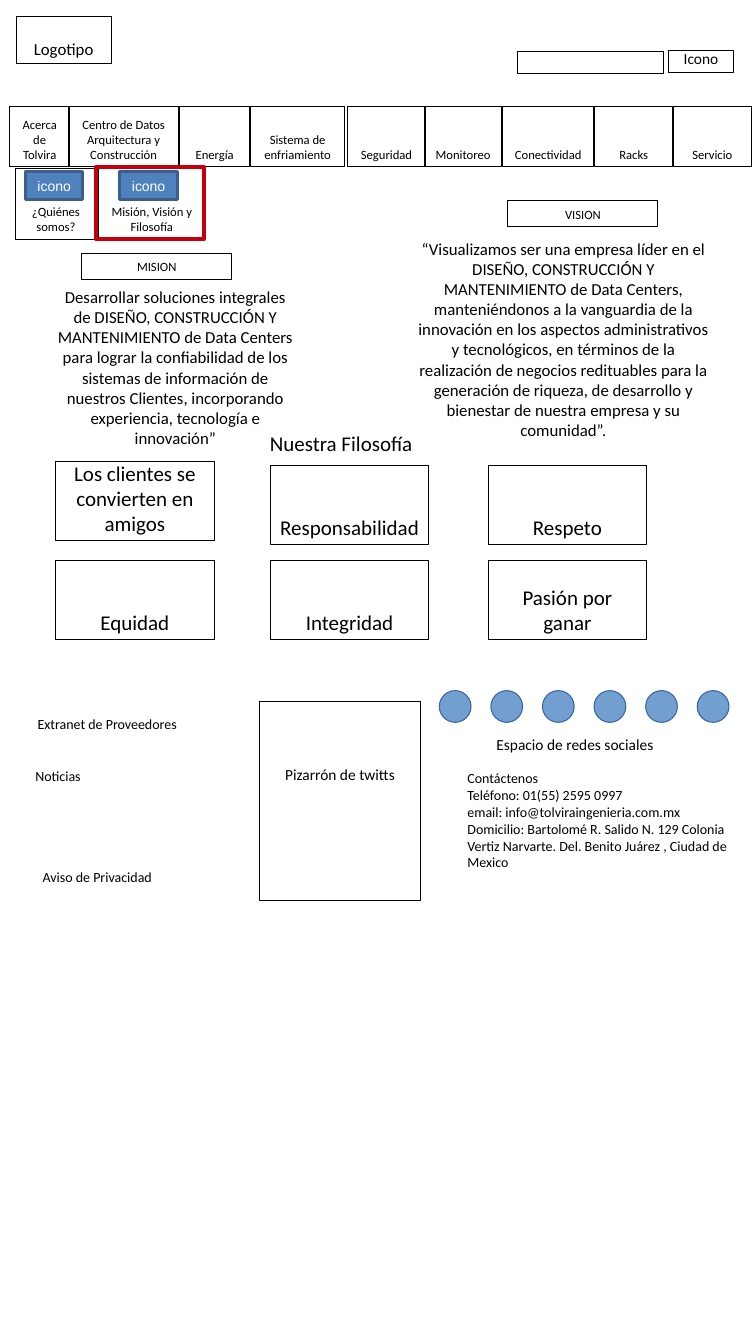
from itertools import cycle

from lxml import etree
from pptx import Presentation
from pptx import util as u
from pptx.dml.color import RGBColor
from pptx.enum import shapes, text

CENTER, LEFT = text.PP_ALIGN.CENTER, text.PP_ALIGN.LEFT
BOTTOM, MIDDLE = text.MSO_ANCHOR.BOTTOM, text.MSO_ANCHOR.MIDDLE
RECT, OVAL = shapes.MSO_SHAPE.RECTANGLE, shapes.MSO_SHAPE.OVAL


def color(hex_code):
    return RGBColor.from_string(hex_code)


def write(frame, words, size=9, font="Calibri", ink="000000", align=CENTER,
          anchor=BOTTOM, inset=0.2, base=0.12):
    frame.word_wrap = True
    frame.auto_size = text.MSO_AUTO_SIZE.NONE
    frame.vertical_anchor = anchor
    frame.margin_left = frame.margin_right = u.Cm(inset)
    frame.margin_top, frame.margin_bottom = u.Cm(0.12), u.Cm(base)
    paragraph = frame.paragraphs[0]
    paragraph.text = words
    paragraph.alignment = align
    for run in paragraph.runs:
        run.font.size = u.Pt(size)
        run.font.name = font
        run.font.bold = False
        run.font.color.rgb = color(ink)


class Wireframe:
    def __init__(self, width, height):
        self.deck = Presentation()
        self.deck.slide_width, self.deck.slide_height = u.Cm(width), u.Cm(height)
        self.slide = self.deck.slides.add_slide(self.deck.slide_layouts[5])

    def title(self, words, area, **style):
        heading = self.slide.shapes.title
        heading.left, heading.top, heading.width, heading.height = map(u.Cm, area)
        write(heading.text_frame, words, inset=0.25, **style)

    def label(self, words, area, **style):
        caption = self.slide.shapes.add_textbox(*map(u.Cm, area))
        write(caption.text_frame, words, inset=0.25, **style)

    def box(self, area, words="", kind=RECT, fill=None, line="000000",
            weight=0.75, **style):
        block = self.slide.shapes.add_shape(kind, *map(u.Cm, area))
        block.shadow.inherit = False
        if fill:
            block.fill.solid()
            block.fill.fore_color.rgb = color(fill)
        else:
            block.fill.background()
        block.line.color.rgb = color(line)
        block.line.width = u.Pt(weight)
        if words:
            write(block.text_frame, words, **style)


page = Wireframe(19.05, 33.88)
page.title("Nuestra Filosofía", (6.55, 10.82, 5, 0.79), size=15, align=LEFT)

page.box((0.41, 0.41, 2.39, 1.19), "Logotipo", size=12)
page.box((13.03, 1.3, 3.7, 0.56))
page.box((16.84, 1.27, 1.65, 0.56), "Icono", size=11)

menu = [
    ("Acerca de Tolvira", 0.25, 1.5),
    ("Centro de Datos Arquitectura y Construcción", 1.73, 2.77),
    ("Energía", 4.52, 1.78),
    ("Sistema de enfriamiento", 6.32, 2.36),
    ("Seguridad", 8.76, 1.96),
    ("Monitoreo", 10.69, 1.96),
    ("Conectividad", 12.67, 2.29),
    ("Racks", 14.99, 1.96),
    ("Servicio", 16.97, 1.96),
]
for section, left, width in menu:
    page.box((left, 2.68, width, 1.53), section)

submenu = [
    ("¿Quiénes somos?", 0.38, 2.06, 0.64),
    ("Misión, Visión y Filosofía", 2.49, 2.67, 3.02),
]
for subsection, left, width, icon_left in submenu:
    page.box((left, 4.25, width, 1.78), subsection)
page.box((2.41, 4.22, 2.74, 1.8), line="C5000B", weight=2.83)
for subsection, left, width, icon_left in submenu:
    page.box((icon_left, 4.33, 1.45, 0.71), "icono", fill="4F81BD", line="3A5F8C",
             weight=2, size=10, font="Arial", ink="FFFFFF", anchor=MIDDLE)

mission = ("Desarrollar soluciones integrales de DISEÑO, CONSTRUCCIÓN Y MANTENIMIENTO "
           "de Data Centers para lograr la confiabilidad de los sistemas de "
           "información de nuestros Clientes, incorporando experiencia, "
           "tecnología e innovación”")
vision = ("“Visualizamos ser una empresa líder en el DISEÑO, CONSTRUCCIÓN Y "
          "MANTENIMIENTO de Data Centers, manteniéndonos a la vanguardia de la "
          "innovación en los aspectos administrativos y tecnológicos, en términos "
          "de la realización de negocios redituables para la generación de riqueza, "
          "de desarrollo y bienestar de nuestra empresa y su comunidad”.")
page.box((2.06, 6.38, 3.78, 0.66), "MISION", fill="FFFFFF")
page.box((12.8, 5.05, 3.78, 0.66), "VISION", fill="FFFFFF")
page.label(mission, (1.17, 8.51, 6.5, 2.9), size=12)
page.label(vision, (10.29, 8.31, 7.82, 2.9), size=12)

philosophy = [
    ("Los clientes se convierten en amigos", 11.63),
    ("Responsabilidad", 11.73),
    ("Respeto", 11.73),
    ("Equidad", 14.13),
    ("Integridad", 14.13),
    ("Pasión por ganar", 14.13),
]
for (value, top), left in zip(philosophy, cycle((1.4, 6.81, 12.3))):
    page.box((left, top, 4, 2), value, size=15, inset=0.23)

for network in range(6):
    page.box((11.07 + 1.3 * network, 17.41, 0.8, 0.8), kind=OVAL,
             fill="729FCF", line="3465A4")
page.label("Espacio de redes sociales", (11.99, 18.34, 5, 0.79), size=11)
page.box((6.55, 17.68, 4.04, 5.03), "Pizarrón de twitts", size=11, base=2.96)

page.label("Extranet de Proveedores", (0.2, 17.78, 5, 0.79), size=10)
page.label("Noticias", (0.64, 19.1, 5, 0.79), size=10, align=LEFT)
page.label("Aviso de Privacidad", (0, 21.64, 4.9, 0.79), size=10)

contact = "\v".join([
    "Contáctenos",
    "Teléfono: 01(55) 2595 0997",
    "email: info@tolviraingenieria.com.mx",
    "Domicilio: Bartolomé R. Salido N. 129 Colonia Vertiz Narvarte. "
    "Del. Benito Juárez , Ciudad de Mexico",
])
page.label(contact, (11.53, 18.87, 7.29, 3.2), size=10, align=LEFT)

page.deck.save("out.pptx")
